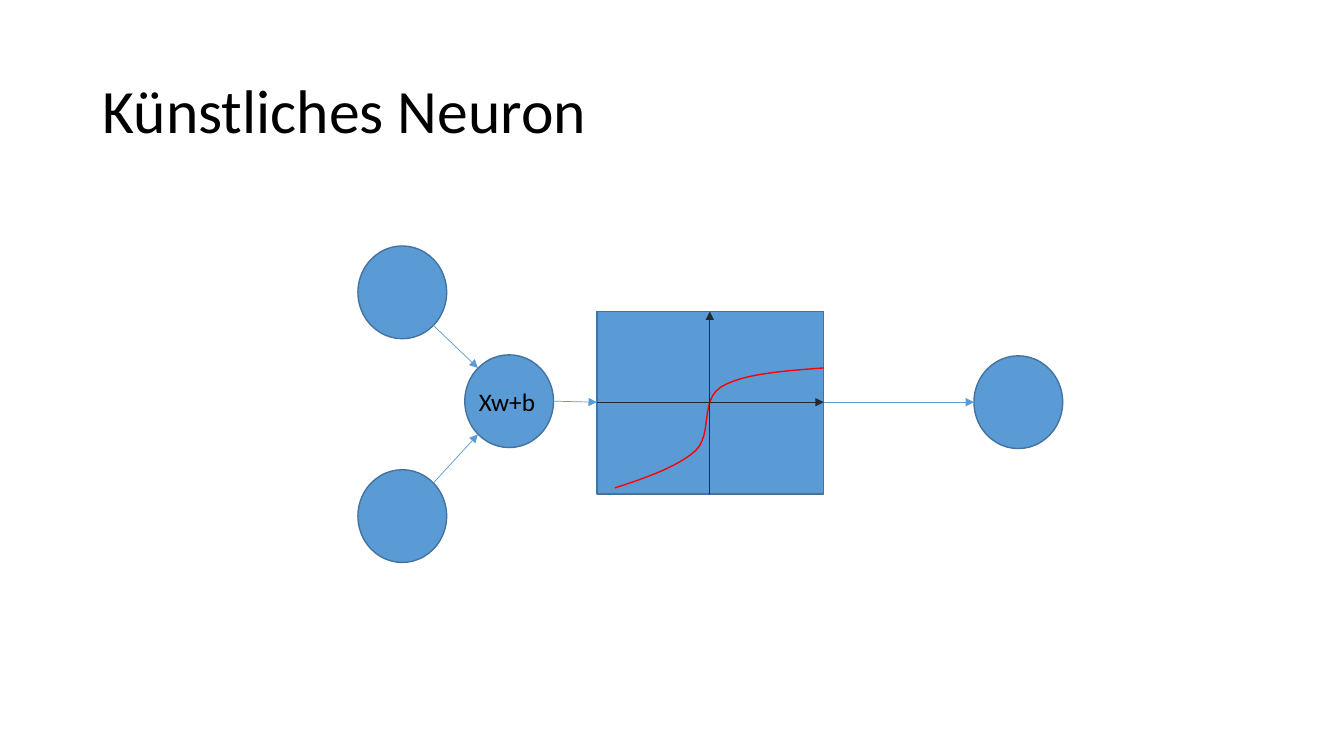
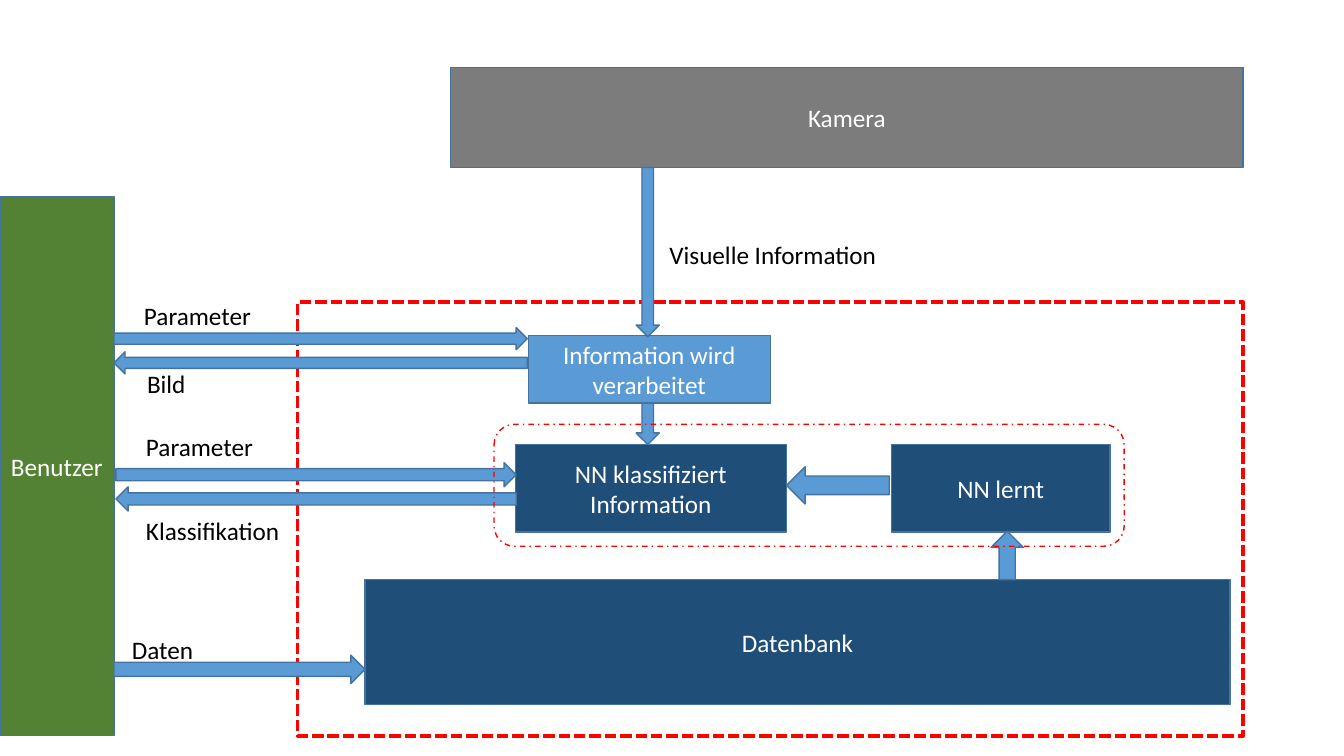
import pptx
import pptx.util
import pptx.dml.color
import pptx.enum.dml
import pptx.enum.shapes
import pptx.enum.text
import pptx.oxml.ns
import lxml.etree

Inches = pptx.util.Inches
Pt = pptx.util.Pt
KIND = pptx.enum.shapes.MSO_SHAPE
DASH = pptx.enum.dml.MSO_LINE
ALIGN = pptx.enum.text.PP_ALIGN
ANCHOR = pptx.enum.text.MSO_ANCHOR
FIT = pptx.enum.text.MSO_AUTO_SIZE

HUES = {
    "black": "000000", "white": "FFFFFF", "blue": "5B9BD5", "edge": "43739E",
    "navy": "1F4E79", "gray": "7C7C7C", "green": "548235", "red": "FF0000",
    "ink": "222A35",
}
TITLE = {"size": 44, "hue": "black", "align": ALIGN.LEFT, "space": 0.9}
LABEL = {"size": 18, "hue": "black", "align": ALIGN.LEFT, "space": 1}
INSIDE = {"size": 18, "hue": "white", "align": ALIGN.CENTER, "space": 1}


def shade(name):
    """Return the named colour."""
    return pptx.dml.color.RGBColor.from_string(HUES[name])


def assign(item, values):
    """Set each attribute of item from a dict."""
    for key, value in values.items():
        setattr(item, key, value)


def bend(start, curves, steps=12):
    """Return points along a chain of cubic curves."""
    points = [start]
    for one, two, end in curves:
        for i in range(1, steps + 1):
            t = i / steps
            u = 1 - t
            parts = (u ** 3, 3 * u * u * t, 3 * u * t * t, t ** 3)
            points.append(tuple(
                sum(w * p[axis] for w, p in zip(parts, (start, one, two, end)))
                for axis in (0, 1)))
        start = end
    return points


class Deck:
    """Hold the style and the current slide."""

    def __init__(self):
        """Start a wide deck."""
        self.show = pptx.Presentation()
        assign(self.show, {"slide_width": Inches(13.33),
                           "slide_height": Inches(7.5)})
        self.slide = None

    def page(self, title=None):
        """Add a slide, with a title if one is given."""
        layout = self.show.slide_layouts[5 if title else 6]
        self.slide = self.show.slides.add_slide(layout)
        if title:
            head = self.slide.shapes.title
            box = map(Inches, (0.92, 0.4, 11.5, 1.45))
            assign(head, dict(zip(("left", "top", "width", "height"), box)))
            self.letter(head, title, TITLE, vertical_anchor=ANCHOR.MIDDLE,
                        auto_size=FIT.NONE)

    def letter(self, shape, words, style, **frame):
        """Put styled words into a shape."""
        assign(shape.text_frame, {"word_wrap": True, **frame})
        line = shape.text_frame.paragraphs[0]
        assign(line, {"alignment": style["align"],
                      "line_spacing": style["space"]})
        run = line.add_run()
        run.text = words
        assign(run.font, {"name": "Calibri", "size": Pt(style["size"])})
        run.font.color.rgb = shade(style["hue"])

    def stroke(self, item, hue, width, dash=None):
        """Format the line of an item."""
        item.line.color.rgb = shade(hue)
        assign(item.line, {"width": Pt(width), "dash_style": dash})

    def shape(self, kind, box, fill="blue", words=None, hue="edge", width=1,
              dash=None, turn=0):
        """Draw a preset shape; no fill colour leaves it open."""
        item = self.slide.shapes.add_shape(kind, *map(Inches, box))
        item.shadow.inherit = False
        item.rotation = turn
        if fill:
            item.fill.solid()
            item.fill.fore_color.rgb = shade(fill)
        else:
            item.fill.background()
        self.stroke(item, hue, width, dash)
        if words:
            self.letter(item, words, INSIDE, vertical_anchor=ANCHOR.MIDDLE)

    def label(self, words, box, wrap=True):
        """Add a plain text box."""
        item = self.slide.shapes.add_textbox(*map(Inches, box))
        self.letter(item, words, LABEL, word_wrap=wrap,
                    auto_size=FIT.SHAPE_TO_FIT_TEXT)

    def arrow(self, start, end, hue="blue"):
        """Draw a thin line with an arrowhead at its end."""
        item = self.slide.shapes.add_connector(
            pptx.enum.shapes.MSO_CONNECTOR.STRAIGHT,
            *map(Inches, start + end))
        self.stroke(item, hue, 0.5)
        name = pptx.oxml.ns.qn
        frame = item.element.spPr
        lxml.etree.SubElement(frame.find(name("a:ln")), name("a:tailEnd"),
                              type="triangle")
        lxml.etree.SubElement(frame, name("a:effectLst"))

    def curve(self, points, hue):
        """Draw an open line through points."""
        spots = [(Inches(x), Inches(y)) for x, y in points]
        trace = self.slide.shapes.build_freeform(*spots[0])
        trace.add_line_segments(spots[1:], close=False)
        item = trace.convert_to_shape()
        item.shadow.inherit = False
        item.fill.background()
        self.stroke(item, hue, 1)


def neuron(deck):
    """Build the slide of the neuron."""
    deck.page("Künstliches Neuron")
    for left, top in ((3.55, 2.44), (3.55, 4.66), (4.61, 3.52), (9.66, 3.53)):
        deck.shape(KIND.OVAL, (left, top, 0.88, 0.92))
    deck.shape(KIND.RECTANGLE, (5.92, 3.09, 2.25, 1.81))
    for start, end in (((4.3, 3.23), (4.74, 3.65)),
                       ((4.3, 4.79), (4.74, 4.31)),
                       ((5.49, 3.98), (5.92, 3.99)),
                       ((8.17, 3.99), (9.66, 3.99))):
        deck.arrow(start, end)
    deck.curve(bend((6.1, 4.84), (
        ((6.41, 4.74), (6.72, 4.63), (6.9, 4.47)),
        ((7.07, 4.3), (6.94, 3.98), (7.15, 3.84)),
        ((7.36, 3.71), (7.76, 3.68), (8.17, 3.65)))), "red")
    deck.arrow((7.04, 4.9), (7.04, 3.09), "ink")
    deck.arrow((5.92, 3.99), (8.17, 3.99), "ink")
    deck.label("Xw+b", (4.65, 3.78, 0.78, 0.4))


def system(deck):
    """Build the slide of the whole system."""
    deck.page()
    for words, fill, box in (
            ("Kamera", "gray", (4.47, 0.67, 7.86, 0.99)),
            ("Benutzer", "green", (0, 1.95, 1.13, 5.35)),
            ("Information wird verarbeitet", "blue", (5.24, 3.33, 2.4, 0.67)),
            ("NN klassifiziert Information", "navy", (5.11, 4.41, 2.69, 0.87)),
            ("NN lernt", "navy", (8.84, 4.41, 2.17, 0.87)),
            ("Datenbank", "navy", (3.62, 5.75, 8.58, 1.24))):
        deck.shape(KIND.RECTANGLE, box, fill, words)
    deck.shape(KIND.RECTANGLE, (2.95, 3, 9.38, 4.3), None, hue="red",
               width=2.75, dash=DASH.SQUARE_DOT)
    for top, height in ((1.66, 1.68), (4, 0.41)):
        deck.shape(KIND.DOWN_ARROW, (6.31, top, 0.23, height))
    for turn, box in ((180, (7.8, 4.63, 1.02, 0.37)),
                      (270, (9.75, 5.35, 0.48, 0.32)),
                      (0, (1.13, 6.5, 2.49, 0.28))):
        deck.shape(KIND.RIGHT_ARROW, box, turn=turn)
    for left, top, width, height in ((1.13, 3.25, 4.1, 0.22),
                                     (1.15, 4.59, 3.97, 0.24)):
        for turn, drop in ((180, 0.24), (0, 0)):
            deck.shape(KIND.RIGHT_ARROW, (left, top + drop, width, height),
                       turn=turn)
    for words, left, top, width in (("Daten", 1.21, 6.24, 1.9),
                                    ("Bild", 1.36, 3.6, 1.05),
                                    ("Parameter", 1.33, 2.93, 1.3),
                                    ("Klassifikation", 1.35, 5.06, 1.53),
                                    ("Parameter", 1.35, 4.23, 1.3)):
        deck.label(words, (left, top, width, 0.4))
    deck.label("Visuelle Information", (6.54, 2.33, 2.28, 0.4), wrap=False)
    deck.shape(KIND.ROUNDED_RECTANGLE, (4.9, 4.21, 6.25, 1.21), None,
               hue="red", dash=DASH.DASH_DOT)


deck = Deck()
neuron(deck)
system(deck)
deck.show.save("out.pptx")
